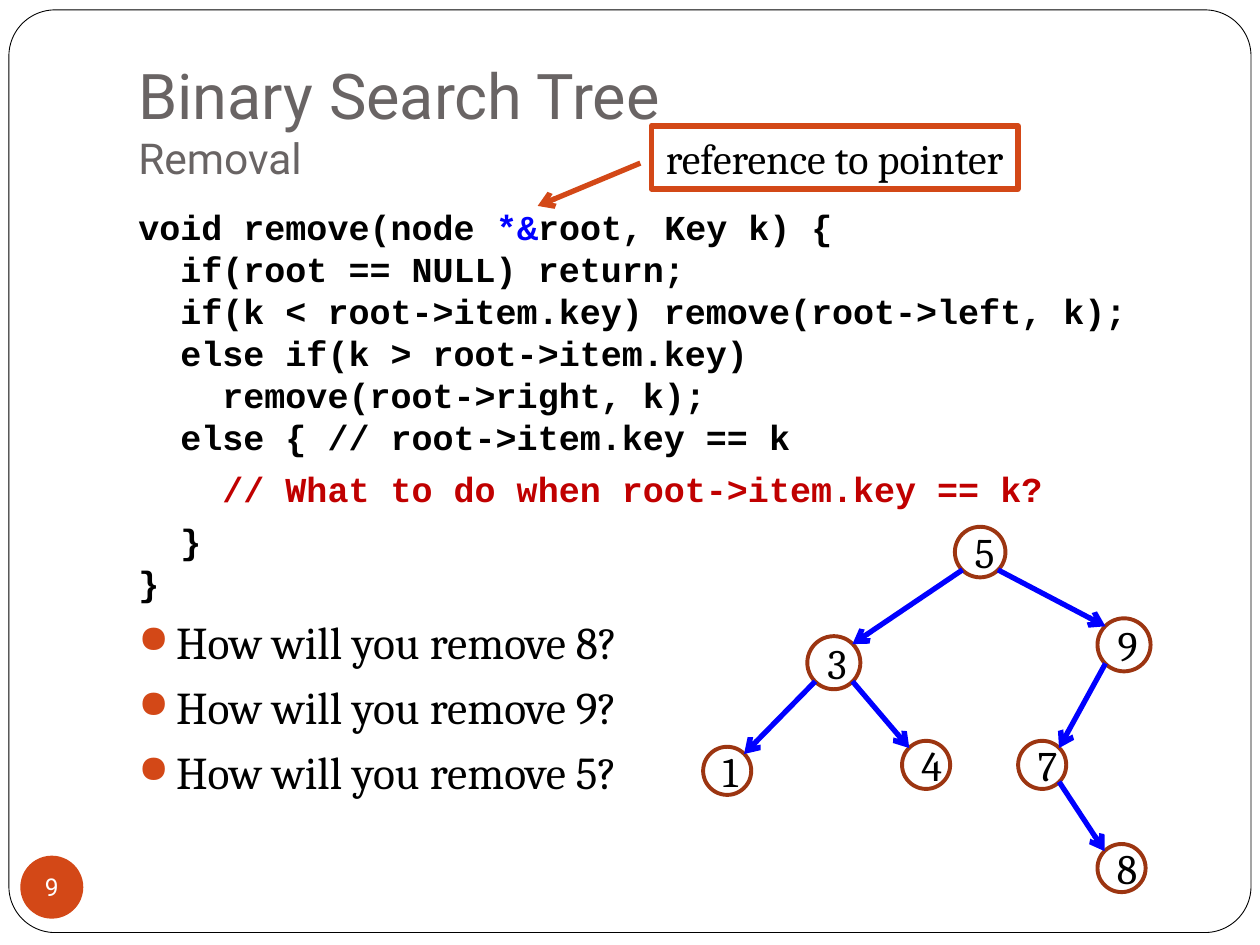
from lxml import etree
from pptx import Presentation, util as u
from pptx.dml.color import RGBColor
from pptx.enum import shapes, text
from pptx.oxml.ns import qn

# Content
GREY, ORANGE, RUST = "696464", "D34817", "9C3511"
BLUE, RED, BLACK, WHITE = "0000FF", "C00000", "000000", "FFFFFF"
SANS, SERIF, MONO = "Roboto", "Cambria", "Courier New"

TITLE = [("Binary Search Tree\n", 36), ("Removal", 24.3)]
CODE = [
    [("void remove(node ", BLACK), ("*&", BLUE),
     ("root, Key k) {\n"
      "  if(root == NULL) return;\n"
      "  if(k < root->item.key) remove(root->left, k);\n"
      "  else if(k > root->item.key)\n"
      "    remove(root->right, k);\n"
      "  else { // root->item.key == k", BLACK)],
    [("    // What to do when root->item.key == k?", RED)],
    [("  }\n}", BLACK)],
]
QUESTIONS = [f"How will you remove {key}?" for key in (8, 9, 5)]
# key: centre x, centre y, diameter in cm
NODES = {
    5: (19.76, 11.13, 1.02), 3: (16.81, 13.36, 1.07), 9: (22.66, 13.0, 1.07),
    1: (14.66, 15.54, 0.97), 4: (18.67, 15.42, 0.97),
    7: (21.01, 15.42, 0.97), 8: (22.61, 17.5, 0.97),
}
EDGES = [(5, 3), (5, 9), (3, 1), (3, 4), (9, 7), (7, 8)]

deck = Presentation()
deck.slide_width, deck.slide_height = u.Cm(25.4), u.Cm(19.05)
page = deck.slides.add_slide(deck.slide_layouts[6])


def color(value):
    return RGBColor.from_string(value)


def add_span(para, words, size, font, ink, bold=False):
    for i, line in enumerate(words.split("\n")):
        if i:
            para.add_line_break()
        if line:
            span = para.add_run()
            span.text = line
            span.font.size, span.font.name = u.Pt(size), font
            span.font.bold, span.font.color.rgb = bold, color(ink)


def add_box(left, top, width, height):
    box = page.shapes.add_textbox(*map(u.Cm, (left, top, width, height)))
    box.text_frame.word_wrap = True
    return box.text_frame


def add_figure(kind, left, top, width, height, fill, line, weight=1, label="",
               size=24, font=SERIF, ink=BLACK):
    figure = page.shapes.add_shape(kind, *map(u.Cm, (left, top, width, height)))
    figure.shadow.inherit = False
    if fill:
        figure.fill.solid()
        figure.fill.fore_color.rgb = color(fill)
    else:
        figure.fill.background()
    if line:
        figure.line.color.rgb, figure.line.width = color(line), u.Pt(weight)
    else:
        figure.line.fill.background()
    if label:
        figure.text_frame.vertical_anchor = text.MSO_ANCHOR.MIDDLE
        para = figure.text_frame.paragraphs[0]
        para.alignment = text.PP_ALIGN.CENTER
        add_span(para, label, size, font, ink)
    return figure


def add_arrowhead(item):
    outline = item._element.spPr.find(qn("a:ln"))
    etree.SubElement(outline, qn("a:tailEnd"), type="arrow")


def add_bullet(para):
    props = para._p.get_or_add_pPr()
    props.set("marL", str(u.Cm(0.76)))
    props.set("indent", str(-u.Cm(0.76)))
    tint = etree.SubElement(props, qn("a:buClr"))
    etree.SubElement(tint, qn("a:srgbClr"), val=ORANGE)
    etree.SubElement(props, qn("a:buSzPct"), val="85000")
    etree.SubElement(props, qn("a:buChar"), char="●")


# Frame, title and page number
frame = add_figure(shapes.MSO_SHAPE.ROUNDED_RECTANGLE, 0.18, 0.2, 25.04, 18.6,
                   WHITE, BLACK, 0.5)
frame.adjustments[0] = 0.05
heading = add_box(2.54, 0.76, 21.59, 3.18)
heading.vertical_anchor = text.MSO_ANCHOR.BOTTOM
heading.margin_bottom = u.Cm(0.25)
for words, size in TITLE:
    add_span(heading.paragraphs[0], words, size, SANS, GREY)
badge = add_figure(shapes.MSO_SHAPE.OVAL, 0.41, 17.25, 1.27, 1.27, ORANGE, None,
                   label="9", size=14, font=SANS, ink=WHITE).text_frame
badge.margin_left = badge.margin_right = badge.margin_top = badge.margin_bottom = 0
badge.word_wrap = False

# Code and questions
body = add_box(2.54, 4.01, 21.59, 12.7)
for i, spans in enumerate(CODE):
    para = body.add_paragraph() if i else body.paragraphs[0]
    para.space_before, para.line_spacing = u.Pt(5.8 if i else 3), u.Pt(24)
    for words, ink in spans:
        add_span(para, words, 20, MONO, ink, True)
for question in QUESTIONS:
    para = body.add_paragraph()
    para.space_before, para.line_spacing = u.Pt(5.8), u.Pt(31.3)
    add_bullet(para)
    add_span(para, question, 26, SERIF, BLACK)

# Tree: edges join the diagonal points of the circles
for key, (x, y, size) in NODES.items():
    add_figure(shapes.MSO_SHAPE.OVAL, x - size / 2, y - size / 2, size, size,
               None, RUST, 2.25, str(key))
for parent, child in EDGES:
    (x1, y1, d1), (x2, y2, d2) = NODES[parent], NODES[child]
    side = 1 if x2 > x1 else -1
    r1, r2 = 0.35 * d1, 0.35 * d2
    ends = (x1 + side * r1, y1 + r1, x2 - side * r2, y2 - r2)
    edge = page.shapes.add_connector(shapes.MSO_CONNECTOR.STRAIGHT, *map(u.Cm, ends))
    edge.line.color.rgb, edge.line.width = color(BLUE), u.Pt(3)
    add_arrowhead(edge)
    etree.SubElement(edge._element.spPr, qn("a:effectLst"))

# Callout pointing at the reference parameter
callout = add_figure(shapes.MSO_SHAPE.LINE_CALLOUT_1, 13.13, 2.54, 7.39, 1.27,
                     WHITE, ORANGE, 3, "reference to pointer")
for i, value in enumerate((0.59, -0.03, 1.27, -0.31)):
    callout.adjustments[i] = value
add_arrowhead(callout)

deck.save("out.pptx")
